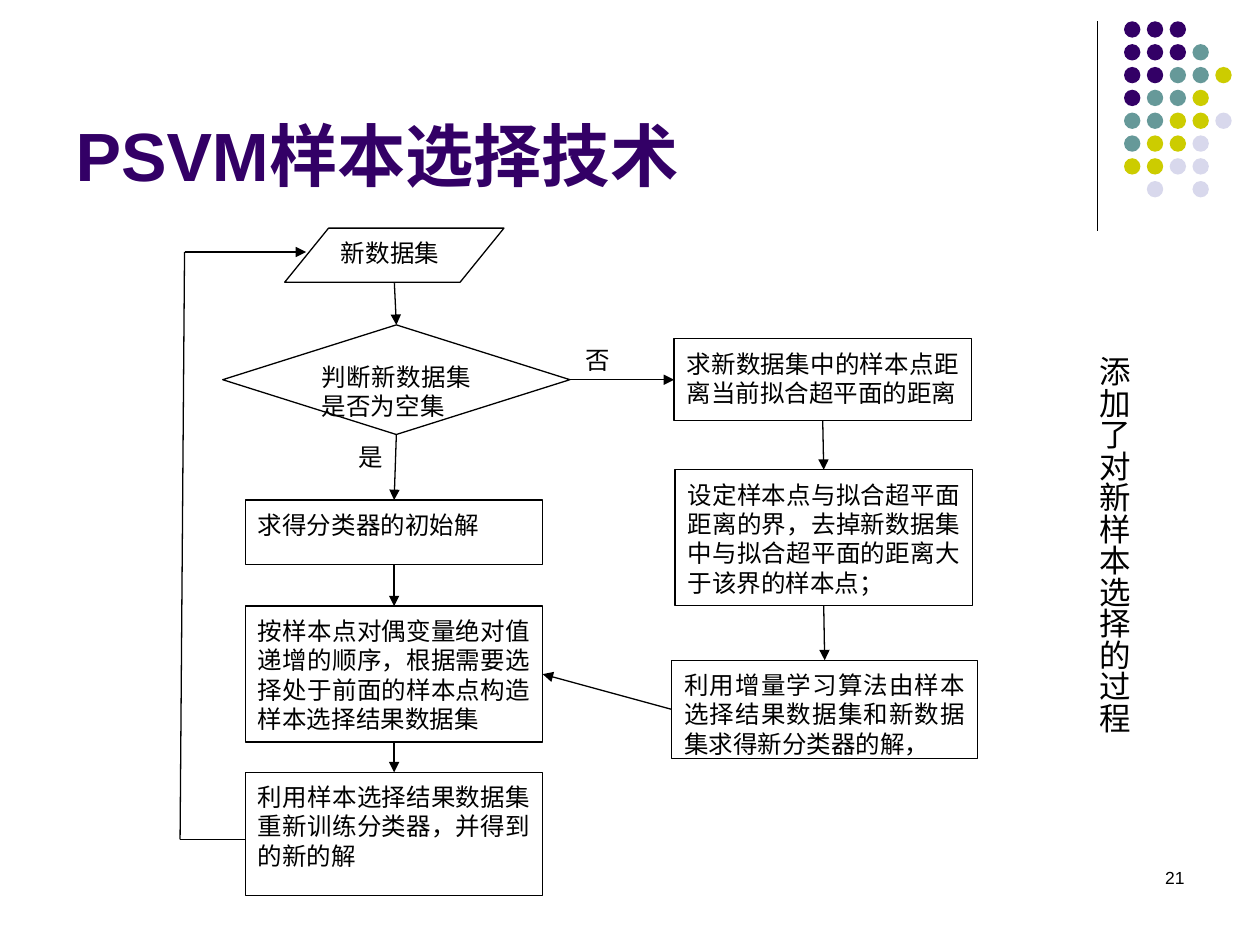
from dataclasses import dataclass
from itertools import pairwise

from lxml import etree
from pptx import Presentation
from pptx.dml.color import RGBColor
from pptx.enum.shapes import MSO_CONNECTOR, MSO_SHAPE
from pptx.enum.text import MSO_ANCHOR, MSO_AUTO_SIZE, PP_ALIGN
from pptx.oxml.ns import qn
from pptx.util import Cm, Pt

STRAIGHT = MSO_CONNECTOR.STRAIGHT
OVAL = MSO_SHAPE.OVAL
RECT = MSO_SHAPE.RECTANGLE
STEP = MSO_SHAPE.FLOWCHART_PROCESS
TEST = MSO_SHAPE.FLOWCHART_DECISION
DATA = MSO_SHAPE.FLOWCHART_DATA
LEFT, RIGHT, FULL = PP_ALIGN.LEFT, PP_ALIGN.RIGHT, PP_ALIGN.JUSTIFY
TOP, BOTTOM = MSO_ANCHOR.TOP, MSO_ANCHOR.BOTTOM
GROW, FIXED = MSO_AUTO_SIZE.SHAPE_TO_FIT_TEXT, MSO_AUTO_SIZE.NONE
NORTH, WEST, SOUTH, EAST = range(4)


@dataclass(frozen=True)
class Theme:
    ink: str = "000000"
    paper: str = "FFFFFF"
    plum: str = "330066"
    teal: str = "669999"
    lime: str = "CCCC00"
    mist: str = "D8D8EC"
    sans: str = "Arial"
    serif: str = "Times New Roman"
    han: str = "Noto Sans CJK SC"
    title: float = 39
    side: float = 18
    body: float = 14
    pitch: float = 16.75
    small: float = 10
    line: float = 0.75


THEME = Theme()


@dataclass(frozen=True)
class Style:
    size: float
    font: str
    color: str = THEME.ink
    bold: bool = False
    align: PP_ALIGN = LEFT
    pitch: float | None = None


@dataclass(frozen=True)
class Box:
    x: float
    y: float
    w: float
    h: float

    def lengths(self) -> tuple:
        return Cm(self.x), Cm(self.y), Cm(self.w), Cm(self.h)


@dataclass(frozen=True)
class Node:
    name: str
    kind: MSO_SHAPE
    box: Box
    text: str
    font: str = THEME.han


@dataclass(frozen=True)
class Link:
    start: str
    out: int
    end: str
    into: int


NODES = [
    Node("data", DATA, Box(5.74, 4.6, 4.42, 1.09), "新数据集", THEME.serif),
    Node("test", TEST, Box(4.49, 6.55, 7, 2.21), "判断新数据集是否为空集", THEME.serif),
    Node("learn", STEP, Box(13.54, 13.31, 6.17, 1.98),
         "利用增量学习算法由样本选择结果数据集和新数据集求得新分类器的解，"),
    Node("pick", STEP, Box(4.95, 12.22, 5.99, 2.74),
         "按样本点对偶变量绝对值递增的顺序，根据需要选择处于前面的样本点构造样本选择结果数据集"),
    Node("train", STEP, Box(4.95, 15.57, 5.99, 2.49),
         "利用样本选择结果数据集重新训练分类器，并得到的新的解"),
    Node("first", STEP, Box(4.95, 10.08, 5.99, 1.3), "求得分类器的初始解"),
    Node("gap", STEP, Box(13.59, 6.83, 5.99, 1.65),
         "求新数据集中的样本点距离当前拟合超平面的距离"),
    Node("bound", RECT, Box(13.61, 9.47, 5.99, 2.74),
         "设定样本点与拟合超平面距离的界，去掉新数据集中与拟合超平面的距离大于该界的样本点；"),
]
LINKS = [
    Link("test", SOUTH, "first", NORTH),
    Link("first", SOUTH, "pick", NORTH),
    Link("pick", SOUTH, "train", NORTH),
    Link("test", EAST, "gap", WEST),
    Link("gap", SOUTH, "bound", NORTH),
    Link("bound", SOUTH, "learn", NORTH),
    Link("learn", WEST, "pick", EAST),
]
LOOP = [(4.95, 16.92), (3.63, 16.92), (3.72, 5.08), (6.17, 5.08)]
LABELS = [("否", Box(11.56, 6.76, 0.74, 0.97)), ("是", Box(6.98, 8.71, 0.74, 0.97))]
DOTS = ["PPP", "PPPT", "PPTTL", "PTTL", "TTLLM", "TLLM", "LLMM", " M M"]
HUES = {"P": THEME.plum, "T": THEME.teal, "L": THEME.lime, "M": THEME.mist}


def write(frame, text: str, style: Style) -> None:
    frame.text = text
    para = frame.paragraphs[0]
    para.alignment = style.align
    if style.pitch:
        para.line_spacing = Pt(style.pitch)
    run = para.runs[0]
    run.font.size = Pt(style.size)
    run.font.bold = style.bold
    run.font.color.rgb = RGBColor.from_string(style.color)
    run.font.name = style.font
    etree.SubElement(run._r.get_or_add_rPr(), qn("a:ea"), typeface=THEME.han)


def write_flow(frame, text: str, font: str) -> None:
    """Fill a flowchart box, whose tight line pitch needs a deeper top inset."""
    frame.word_wrap = True
    frame.vertical_anchor = TOP
    frame.margin_top = Cm(0.2)
    write(frame, text, Style(THEME.body, font, align=FULL, pitch=THEME.pitch))


def add_line(shapes, start: tuple, end: tuple, arrow: bool = False):
    line = shapes.add_connector(STRAIGHT, *(Cm(v) for v in (*start, *end)))
    line.line.color.rgb = RGBColor.from_string(THEME.ink)
    line.line.width = Pt(THEME.line)
    if arrow:
        etree.SubElement(line.line._get_or_add_ln(), qn("a:tailEnd"), type="triangle")
    etree.SubElement(line.element.spPr, qn("a:effectLst"))
    return line


def add_form(shapes, kind: MSO_SHAPE, box: Box, fill: str):
    form = shapes.add_shape(kind, *box.lengths())
    form.shadow.inherit = False
    form.fill.solid()
    form.fill.fore_color.rgb = RGBColor.from_string(fill)
    return form


def add_node(shapes, node: Node):
    form = add_form(shapes, node.kind, node.box, THEME.paper)
    form.line.color.rgb = RGBColor.from_string(THEME.ink)
    form.line.width = Pt(THEME.line)
    write_flow(form.text_frame, node.text, node.font)
    return form


def add_dots(shapes) -> None:
    step = 0.46
    for row, marks in enumerate(DOTS):
        for col, mark in enumerate(marks):
            if mark in HUES:
                box = Box(22.66 + col * step, 0.43 + row * step, 0.33, 0.33)
                add_form(shapes, OVAL, box, HUES[mark]).line.fill.background()


def add_flow(shapes) -> None:
    forms = {node.name: add_node(shapes, node) for node in NODES}
    add_line(shapes, (7.95, 5.71), (7.99, 6.55), True).end_connect(forms["test"], NORTH)
    for link in LINKS:
        line = add_line(shapes, (0, 0), (1, 1), True)
        line.begin_connect(forms[link.start], link.out)
        line.end_connect(forms[link.end], link.into)
    for start, end in pairwise(LOOP):
        add_line(shapes, start, end, arrow=end == LOOP[-1])
    for text, box in LABELS:
        write_flow(shapes.add_textbox(*box.lengths()).text_frame, text, THEME.serif)


def set_title(title) -> None:
    title.left, title.top, title.width, title.height = Box(1.27, 0.33, 20.96, 3.61).lengths()
    frame = title.text_frame
    frame.auto_size = FIXED
    frame.vertical_anchor = BOTTOM
    frame.margin_bottom = 0
    write(frame, "PSVM样本选择技术", Style(THEME.title, THEME.sans, THEME.plum, True))


def add_notes(shapes) -> None:
    """Add the upright remark at the right and the page number."""
    side = shapes.add_textbox(*Box(21.69, 6.93, 1.27, 7.87).lengths())
    side.element.txBody.bodyPr.set("vert", "eaVert")
    side.text_frame.word_wrap = False
    side.text_frame.auto_size = GROW
    write(side.text_frame, "添加了对新样本选择的过程", Style(THEME.side, THEME.sans))
    page = shapes.add_textbox(*Box(18.21, 17.35, 5.92, 1.27).lengths())
    page.text_frame.word_wrap = True
    write(page.text_frame, "21", Style(THEME.small, THEME.sans, align=RIGHT))


def main() -> None:
    deck = Presentation()
    deck.slide_width, deck.slide_height = Cm(25.4), Cm(19.05)
    shapes = deck.slides.add_slide(deck.slide_layouts[5]).shapes
    add_line(shapes, (22.12, 0.43), (22.12, 4.65))
    add_dots(shapes)
    set_title(shapes.title)
    add_flow(shapes)
    add_notes(shapes)
    deck.save("out.pptx")


if __name__ == "__main__":
    main()
